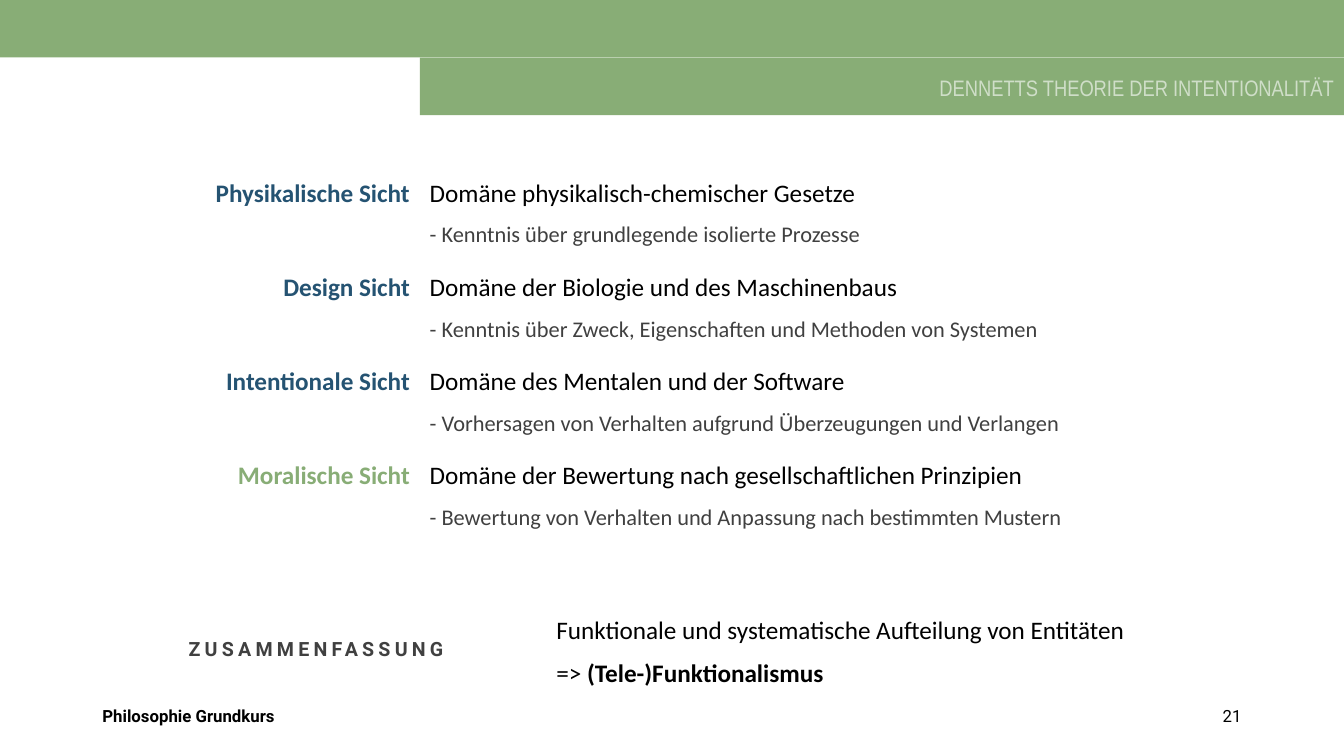
from dataclasses import dataclass

from pptx import Presentation
from pptx.dml.color import RGBColor
from pptx.enum.shapes import MSO_SHAPE as SHAPE
from pptx.enum.text import MSO_ANCHOR as ANCHOR, MSO_AUTO_SIZE as AUTO, PP_ALIGN as ALIGN
from pptx.util import Cm, Pt


@dataclass(frozen=True)
class Theme:
    """Colours, fonts and type sizes of the slide."""
    green: str = "88AD76"
    pale: str = "CFDEC8"
    blue: str = "255372"
    grey: str = "404040"
    black: str = "000000"
    body: str = "Calibri"
    label: str = "Roboto"
    header: str = "Arial Narrow"
    main: int = 18
    detail: int = 16
    heading: int = 14
    footer: int = 12


T = Theme()
W, H = 33.87, 19.05
VIEWS = [
    ("Physikalische Sicht", T.blue, "Domäne physikalisch-chemischer Gesetze",
     "- Kenntnis über grundlegende isolierte Prozesse"),
    ("Design Sicht", T.blue, "Domäne der Biologie und des Maschinenbaus",
     "- Kenntnis über Zweck, Eigenschaften und Methoden von Systemen"),
    ("Intentionale Sicht", T.blue, "Domäne des Mentalen und der Software",
     "- Vorhersagen von Verhalten aufgrund Überzeugungen und Verlangen"),
    ("Moralische Sicht", T.green, "Domäne der Bewertung nach gesellschaftlichen Prinzipien",
     "- Bewertung von Verhalten und Anpassung nach bestimmten Mustern"),
]


def style(r, size, color, font=T.body, bold=False):
    """Format one run."""
    r.font.size, r.font.name, r.font.bold = Pt(size), font, bold
    r.font.color.rgb = RGBColor.from_string(color)


def add_text(s, box, paragraphs, align=ALIGN.LEFT, spaced=True):
    """Add a text box; each paragraph is a list of (text, *style) runs."""
    tf = s.shapes.add_textbox(*map(Cm, box)).text_frame
    tf.word_wrap = True
    tf.auto_size = AUTO.SHAPE_TO_FIT_TEXT if spaced else AUTO.NONE
    for i, runs in enumerate(paragraphs):
        p = tf.add_paragraph() if i else tf.paragraphs[0]
        p.alignment = align
        if spaced:
            p.line_spacing, p.space_after = 1.07, Pt(8)
        for text, *look in runs:
            r = p.add_run()
            r.text = text
            style(r, *look)


def add_header(s, box):
    """Draw the two stepped bars and the section name."""
    x, y, w, h = box
    bar, indent, inset = h / 2, 10.58, 17.25
    for i, left in enumerate((0, indent)):
        sp = s.shapes.add_shape(SHAPE.RECTANGLE, Cm(x + left), Cm(y + i * bar),
                                Cm(w - left), Cm(bar))
        sp.shadow.inherit = False
        sp.fill.solid()
        sp.fill.fore_color.rgb = RGBColor.from_string(T.green)
        sp.line.fill.background()
    add_text(s, (x + inset, y + bar + 0.3, w - inset, 0.94),
             [[("DENNETTS THEORIE DER INTENTIONALITÄT", T.detail, T.pale, T.header)]],
             ALIGN.RIGHT, spaced=False)


def add_views(s, box):
    """List the views in equal rows, labels left and domains right."""
    x, y, w, h = box
    label_w, pitch = 8.38, h / len(VIEWS)
    for i, (name, color, domain, detail) in enumerate(VIEWS):
        top = y + i * pitch
        add_text(s, (x, top, label_w, 1.04),
                 [[(name, T.main, color, T.body, True)]], ALIGN.RIGHT)
        add_text(s, (x + label_w, top, w - label_w, 2.06),
                 [[(domain, T.main, T.black)], [(detail, T.detail, T.grey)]])


def add_summary(s, box):
    """Place the title as summary heading with its conclusion beside it."""
    x, y, w, h = box
    title, text_x = s.shapes.title, 9.27
    title.left, title.top, title.width, title.height = map(Cm, (x, y + 0.41, 19.4, 1.35))
    tf = title.text_frame
    tf.text = "ZUSAMMENFASSUNG"
    tf.vertical_anchor, tf.word_wrap, tf.auto_size = ANCHOR.MIDDLE, True, AUTO.NONE
    p = tf.paragraphs[0]
    p.alignment, p.line_spacing = ALIGN.LEFT, 0.9
    r = p.runs[0]
    style(r, T.heading, T.grey, T.label, True)
    r._r.get_or_add_rPr().set("spc", "300")
    add_text(s, (x + text_x, y, w - text_x, h), [
        [("Funktionale und systematische Aufteilung von Entitäten", T.main, T.black)],
        [("=> ", T.main, T.black), ("(Tele-)Funktionalismus", T.main, T.black, T.body, True)],
    ])


def add_footer(s, box):
    """Write the course name left and the page number right."""
    x, y, w, h = box
    number_w = 7.62
    add_text(s, (x, y, 11.43, h),
             [[("Philosophie Grundkurs", T.footer, T.black, T.label, True)]], spaced=False)
    add_text(s, (x + w - number_w, y, number_w, h),
             [[("21", T.footer, T.black, T.label)]], ALIGN.RIGHT, spaced=False)


def main():
    """Build and save the slide."""
    prs = Presentation()
    prs.slide_width, prs.slide_height = Cm(W), Cm(H)
    s = prs.slides.add_slide(prs.slide_layouts[5])
    add_header(s, (0, 0, W, 2.9))
    add_views(s, (2.2, 4.29, 25.32, 9.48))
    add_summary(s, (4.5, 15.29, 26.2, 2.16))
    add_footer(s, (2.33, 17.65, 29.21, 1.02))
    prs.save("out.pptx")


if __name__ == "__main__":
    main()
